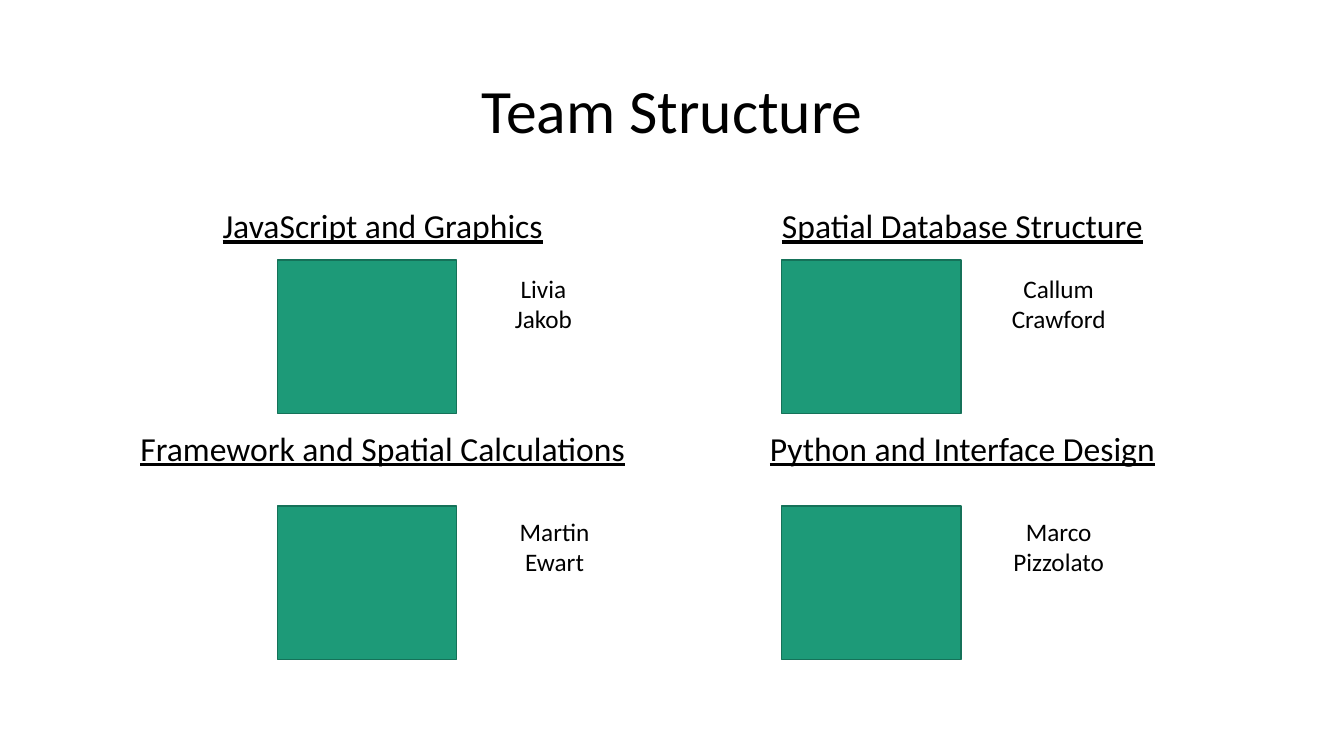
import pptx
import pptx.util
import pptx.dml.color
import pptx.enum.shapes
import pptx.enum.text

Inches = pptx.util.Inches
BLACK = pptx.dml.color.RGBColor(0x00, 0x00, 0x00)
GREEN = pptx.dml.color.RGBColor(0x1D, 0x9A, 0x78)
EDGE = pptx.dml.color.RGBColor(0x15, 0x72, 0x59)


class Board:
    """Holds the text style and the current slide."""

    def __init__(self, slide):
        self.slide = slide
        self.font = {"name": "Calibri", "bold": False}

    def label(self, frame, words, size, **extra):
        para = frame.paragraphs[0]
        para.alignment = pptx.enum.text.PP_ALIGN.CENTER
        run = para.add_run()
        run.text = words
        style = {**self.font, "size": pptx.util.Pt(size), **extra}
        for key, value in style.items():
            setattr(run.font, key, value)
        run.font.color.rgb = BLACK

    def text(self, words, left, top, width, height, size):
        box = self.slide.shapes.add_textbox(
            Inches(left), Inches(top), Inches(width), Inches(height))
        box.text_frame.word_wrap = True
        self.label(box.text_frame, words, size)
        return box.text_frame

    def title(self, words):
        frame = self.text(words, 0.92, 0.4, 11.5, 1.45, 44)
        frame.vertical_anchor = pptx.enum.text.MSO_ANCHOR.MIDDLE
        frame.paragraphs[0].line_spacing = 0.9

    def table(self, rows, left, top, width, height):
        table = self.slide.shapes.add_table(
            len(rows), len(rows[0]), Inches(left), Inches(top),
            Inches(width), Inches(height)).table
        for flag in ("first_row", "horz_banding"):
            setattr(table, flag, False)
        for r, row in enumerate(rows):
            for c, words in enumerate(row):
                cell = table.cell(r, c)
                cell.fill.background()
                self.label(cell.text_frame, words, 24, underline=True)

    def block(self, left, top):
        rect = self.slide.shapes.add_shape(
            pptx.enum.shapes.MSO_SHAPE.RECTANGLE, Inches(left), Inches(top),
            Inches(1.78), Inches(1.52))
        rect.shadow.inherit = False
        rect.fill.solid()
        rect.fill.fore_color.rgb = GREEN
        rect.line.color.rgb = EDGE
        rect.line.width = pptx.util.Pt(1)


def main():
    deck = pptx.Presentation()
    deck.slide_width, deck.slide_height = Inches(13.33), Inches(7.5)
    board = Board(deck.slides.add_slide(deck.slide_layouts[6]))

    # Title and the four roles
    board.title("Team Structure")
    board.table([
        ["JavaScript and Graphics", "Spatial Database Structure"],
        ["Framework and Spatial Calculations", "Python and Interface Design"],
    ], 0.92, 2, 11.5, 4.42)

    # Each member: a block with the name to its right
    team = [
        [("Livia Jakob", 1.26), ("Callum Crawford", 1.48)],
        [("Martin Ewart", 1.48), ("Marco Pizzolato", 1.48)],
    ]
    tops = [(2.58, 2.66), (5.02, 5.07)]
    for row, (top, name_top) in zip(team, tops):
        for col, (name, width) in enumerate(row):
            left = 2.75 + 5 * col
            board.block(left, top)
            board.text(name, left + 2.01, name_top, width, 0.71, 18)

    deck.save("out.pptx")


if __name__ == "__main__":
    main()
